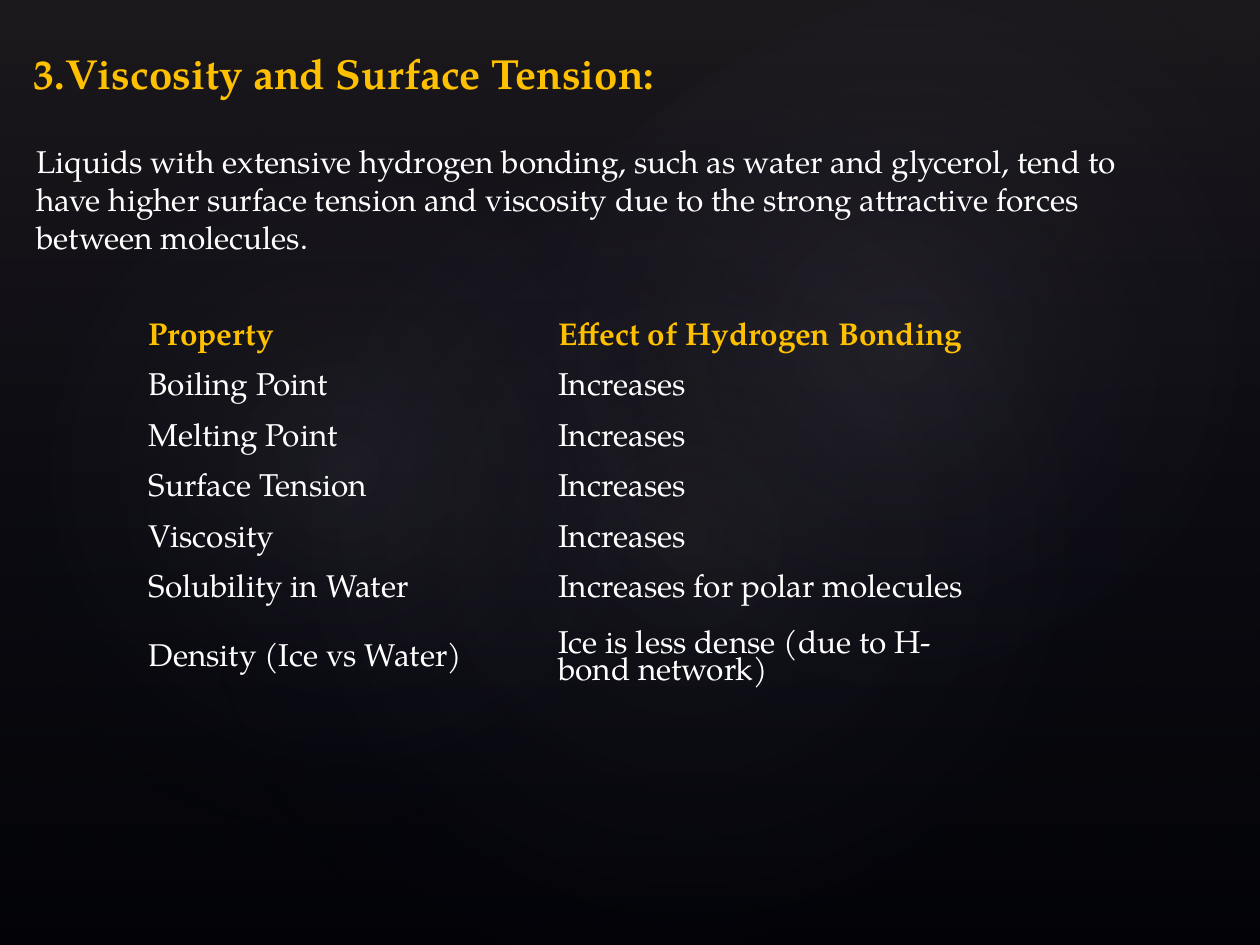
from lxml import etree
from pptx import Presentation
from pptx.dml.color import RGBColor
from pptx.enum.shapes import MSO_SHAPE
from pptx.enum.text import MSO_ANCHOR
from pptx.oxml import parse_xml
from pptx.oxml.ns import nsdecls, qn
from pptx.util import Inches, Pt

RECTANGLE = MSO_SHAPE.RECTANGLE
OVAL = MSO_SHAPE.OVAL
MIDDLE = MSO_ANCHOR.MIDDLE
WIDTH, HEIGHT = 10, 7.5
FONT = "TeX Gyre Pagella"
COLORS = {
    "background": "000000",
    "haze": "504652",
    "navy": "242852",
    "glow": "C4BCC6",
    "accent": "FFC000",
    "body": "FFFFFF",
}
LINEAR = '<a:lin ang="5400000" scaled="0"/>'
RADIAL = ('<a:path path="circle"><a:fillToRect l="50000" t="50000" '
          'r="50000" b="50000"/></a:path>')
GLOWS = [
    ((1.5, 1.14, 7.92, 6.24), 328.7, 7),
    ((-0.3, 1.28, 6.06, 4.9), 294.3, 8),
    ((3.58, 0.13, 7.09, 5.2), 328.7, 8),
]
TITLE = "3.Viscosity and Surface Tension:"
SUMMARY = ("Liquids with extensive hydrogen bonding, such as water and glycerol, "
           "tend to have higher surface tension and viscosity due to the strong "
           "attractive forces between molecules.")
PROPERTIES = [
    ("Property", "Effect of Hydrogen Bonding"),
    ("Boiling Point", "Increases"),
    ("Melting Point", "Increases"),
    ("Surface Tension", "Increases"),
    ("Viscosity", "Increases"),
    ("Solubility in Water", "Increases for polar molecules"),
    ("Density (Ice vs Water)", "Ice is less dense (due to H-bond network)"),
]
COLUMN_WIDTHS = (3.25, 3.42)
ROW_HEIGHT, LAST_ROW_HEIGHT = 0.4, 0.7


def color(name):
    """Return the named palette colour."""
    return RGBColor.from_string(COLORS[name])


def add_veil(page, preset, frame, stops, direction, rotation=0):
    """Add an outline-free shape with a translucent gradient."""
    veil = page.shapes.add_shape(preset, *map(Inches, frame))
    veil.rotation = rotation
    veil.shadow.inherit = False
    veil.line.fill.background()
    gradient = "".join(
        f'<a:gs pos="{place * 1000}"><a:srgbClr val="{COLORS[name]}">'
        f'<a:alpha val="{opacity * 1000}"/></a:srgbClr></a:gs>'
        for place, name, opacity in stops)
    geometry = veil.element.spPr.find(qn("a:prstGeom"))
    geometry.addnext(parse_xml(
        f'<a:gradFill {nsdecls("a")} rotWithShape="1"><a:gsLst>{gradient}'
        f'</a:gsLst>{direction}</a:gradFill>'))


def style_text(frame, size, name, bold=False):
    """Format every run in a text frame."""
    for para in frame.paragraphs:
        for span in para.runs:
            span.font.name = FONT
            span.font.size = Pt(size)
            span.font.bold = bold
            span.font.color.rgb = color(name)


def add_text(page, frame, text, size, name, bold=False, wrap=True):
    """Add a text box with one style."""
    box = page.shapes.add_textbox(*map(Inches, frame))
    box.text_frame.word_wrap = wrap
    box.text_frame.text = text
    style_text(box.text_frame, size, name, bold)


def add_property_table(page, left, top):
    """Add the unfilled table of properties and effects."""
    heights = [ROW_HEIGHT] * (len(PROPERTIES) - 1) + [LAST_ROW_HEIGHT]
    frame = (left, top, sum(COLUMN_WIDTHS), sum(heights))
    table = page.shapes.add_table(
        len(PROPERTIES), len(COLUMN_WIDTHS), *map(Inches, frame)).table
    table.first_row = table.horz_banding = False
    for column, width in zip(table.columns, COLUMN_WIDTHS):
        column.width = Inches(width)
    for index, (row, height, texts) in enumerate(zip(table.rows, heights, PROPERTIES)):
        row.height = Inches(height)
        header = index == 0
        for cell, text in zip(row.cells, texts):
            cell.text_frame.text = text
            cell.text_frame.paragraphs[0].line_spacing = 0.83
            cell.vertical_anchor = MIDDLE
            style_text(cell.text_frame, 18, "accent" if header else "body", header)
            cell.fill.background()
            properties = cell.fill._xPr
            for position, side in enumerate(("lnL", "lnR", "lnT", "lnB")):
                border = etree.Element(qn(f"a:{side}"))
                etree.SubElement(border, qn("a:noFill"))
                properties.insert(position, border)


def main():
    """Build and save the slide."""
    deck = Presentation()
    deck.slide_width, deck.slide_height = Inches(WIDTH), Inches(HEIGHT)
    page = deck.slides.add_slide(deck.slide_layouts[6])
    page.background.fill.solid()
    page.background.fill.fore_color.rgb = color("background")
    add_veil(page, RECTANGLE, (0, 0, WIDTH, HEIGHT),
             [(0, "haze", 36), (100, "navy", 10)], LINEAR)
    for frame, rotation, opacity in GLOWS:
        add_veil(page, OVAL, frame,
                 [(0, "glow", opacity), (58, "navy", 0), (100, "navy", 0)],
                 RADIAL, rotation)
    add_text(page, (0.17, 0.33, 5.16, 0.5), TITLE, 24, "accent", True, False)
    add_text(page, (0.19, 1.08, 9.23, 1.01), SUMMARY, 18, "body")
    add_property_table(page, 1.08, 2.48)
    deck.save("out.pptx")


if __name__ == "__main__":
    main()
